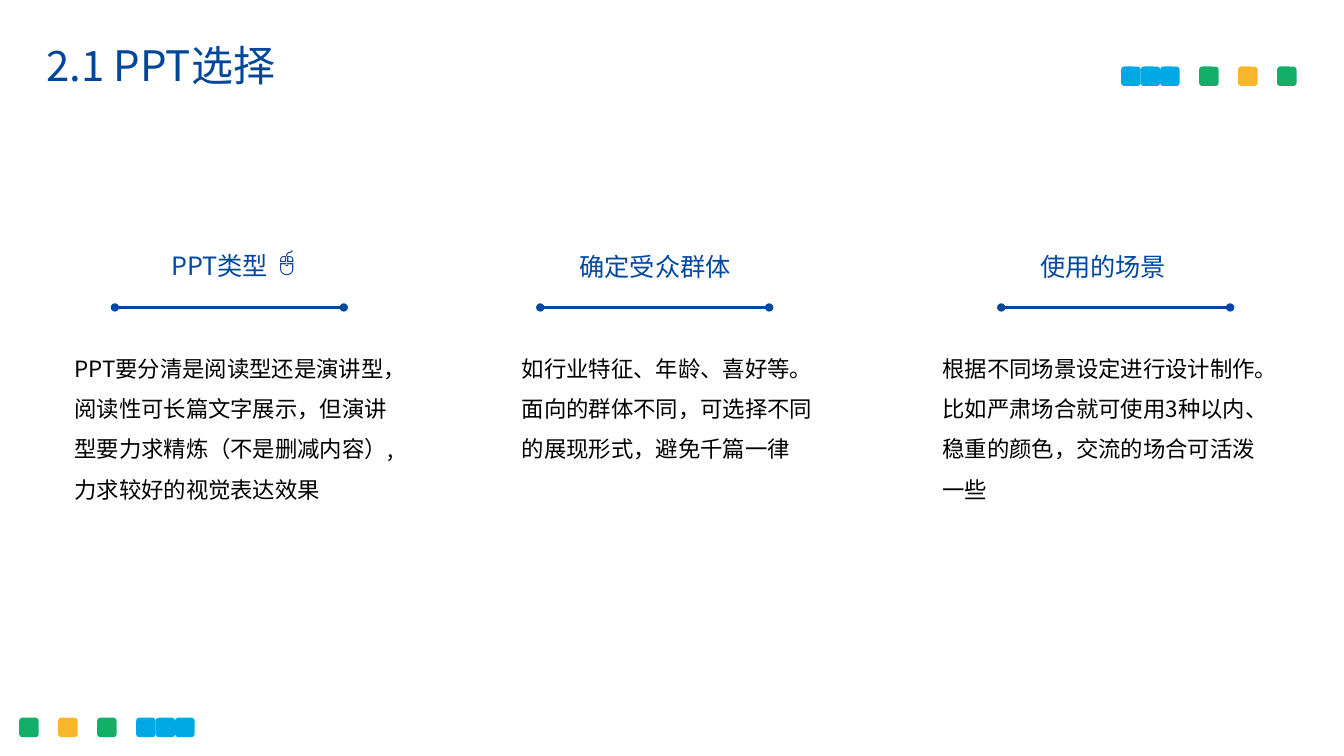
from math import cos, pi, sin

from lxml.etree import SubElement
from pptx import Presentation
from pptx.dml.color import RGBColor
from pptx.enum.shapes import MSO_CONNECTOR, MSO_SHAPE
from pptx.enum.text import MSO_ANCHOR, MSO_AUTO_SIZE
from pptx.oxml.ns import qn
from pptx.util import Inches, Pt

WIDE, HIGH = Inches(13.33), Inches(7.5)
FACE = "Noto Sans CJK SC"
NAVY = RGBColor(0x00, 0x47, 0x99)
BLUE = RGBColor(0x00, 0x47, 0x9D)
INK = RGBColor(0x16, 0x49, 0x98)
BLACK = RGBColor(0x00, 0x00, 0x00)
SKY = RGBColor(0x00, 0xA9, 0xE4)
GREEN = RGBColor(0x13, 0xAE, 0x67)
GOLD = RGBColor(0xF8, 0xB6, 0x2D)

TITLE = {"size": Pt(30), "color": NAVY, "gap": 0.9}
HEAD = {"size": Pt(18), "color": BLUE, "gap": 1.0}
BODY = {"size": Pt(16), "color": BLACK, "gap": 1.5}

# Slots of the square row, counted in square widths
SLOTS = {0: SKY, 1: SKY, 2: SKY, 4: GREEN, 6: GOLD, 8: GREEN}
SIDE = 1.45

# Rule left, heading (left, top, width), body (left, width), heading, body text
COLUMNS = [
    (8.55, (12, 32.4, 9.38), (4.8, 26.33), "PPT类型",
     ["PPT要分清是阅读型还是演讲型，阅读性可长篇文字展示，但演讲型要力求精炼（不是删减内容）,力求较好的视觉表达效果"]),
    (40.2, (42.38, 32.53, 13.58), (38.1, 23.7), "确定受众群体",
     ["如行业特征、年龄、喜好等。",
      "面向的群体不同，可选择不同的展现形式，避免千篇一律"]),
    (74.5, (76.65, 32.53, 13.58), (69.38, 25.13), "使用的场景",
     ["根据不同场景设定进行设计制作。",
      "比如严肃场合就可使用3种以内、稳重的颜色，交流的场合可活泼一些"]),
]


def across(share):
    """Length of a percentage of the slide width."""
    return round(WIDE * share / 100)


def down(share):
    """Length of a percentage of the slide height."""
    return round(HIGH * share / 100)


def paint(shape, color):
    shape.shadow.inherit = False
    shape.fill.solid()
    shape.fill.fore_color.rgb = color
    shape.line.fill.background()


def write(slide, left, top, width, height, lines, style, **frame):
    box = slide.shapes.add_textbox(
        across(left), down(top), across(width), down(height))
    text = box.text_frame
    for key, value in {"word_wrap": True, **frame}.items():
        setattr(text, key, value)
    for index, line in enumerate(lines):
        para = text.add_paragraph() if index else text.paragraphs[0]
        para.line_spacing = style["gap"]
        run = para.add_run()
        run.text = line
        for key, value in {"name": FACE, "size": style["size"]}.items():
            setattr(run.font, key, value)
        run.font.color.rgb = style["color"]
        SubElement(run.font._element, qn("a:ea"), typeface=FACE)


def squares(slide, left, top, slots):
    for slot, color in slots.items():
        tile = slide.shapes.add_shape(
            MSO_SHAPE.ROUNDED_RECTANGLE, across(left + slot * SIDE), down(top),
            across(SIDE), across(SIDE))
        paint(tile, color)


def rule(slide, left, top, width):
    """Draw a level line with a dot at each end."""
    line = slide.shapes.add_connector(
        MSO_CONNECTOR.STRAIGHT, across(left), down(top),
        across(left + width), down(top))
    line.line.color.rgb = BLUE
    line.line.width = Pt(1.75)
    pen = line.line._get_or_add_ln()
    for end in ("a:headEnd", "a:tailEnd"):
        SubElement(pen, qn(end), type="oval")
    SubElement(line._element.spPr, qn("a:effectLst"))


def bowl(wide, deep, turn):
    """Points of the lower half of an oval; turn 1 runs right to left."""
    steps = [pi * step / 12 for step in range(13)]
    return [(65 + turn * wide * cos(a), 190 + deep * sin(a)) for a in steps]


def mouse(slide, left, top):
    """Draw the mouse icon as one shape, in thousandths of an inch."""
    body = ([(0, 130), (58, 130), (62, 136), (58, 142), (10, 142)]
            + bowl(55, 50, -1)
            + [(120, 142), (72, 142), (68, 136), (72, 130), (130, 130)]
            + bowl(65, 60, 1))
    key = [(0, 120), (0, 90), (9, 69), (30, 60), (60, 60), (60, 120)]
    hole = [(11, 109), (11, 90), (17, 76), (30, 71), (49, 71), (49, 109)]
    wheel = [(57, 148), (73, 148), (77, 153), (73, 158), (57, 158), (53, 153)]
    cord = [(60, 60), (60, 48), (67, 30), (85, 20), (105, 16), (113, 7),
            (113, 0), (122, 0), (121, 14), (110, 26), (88, 31), (74, 39),
            (70, 52), (70, 60)]
    flip = [[(130 - x, y) for x, y in part] for part in (key, hole)]
    parts = [body, key, hole, *flip, wheel, cord]
    pen = slide.shapes.build_freeform(*body[0], scale=Inches(1) / 1000)
    for index, part in enumerate(parts):
        if index:
            pen.move_to(*part[0])
        pen.add_line_segments(part[1:], close=True)
    paint(pen.convert_to_shape(across(left), down(top)), INK)


def main():
    deck = Presentation()
    deck.slide_width, deck.slide_height = WIDE, HIGH
    slide = deck.slides.add_slide(deck.slide_layouts[6])

    squares(slide, 83.42, 8.8, SLOTS)
    squares(slide, 1.43, 94.93, {8 - k: c for k, c in SLOTS.items()})
    write(slide, 2.7, 5.07, 74.5, 7.73, ["2.1 PPT选择"], TITLE,
          vertical_anchor=MSO_ANCHOR.MIDDLE)

    grow = {"auto_size": MSO_AUTO_SIZE.SHAPE_TO_FIT_TEXT}
    for start, head, (left, width), name, lines in COLUMNS:
        rule(slide, start, 40.67, 17.03)
        write(slide, *head, 5.33, [name], HEAD, **grow)
        write(slide, left, 44.53, width, 22.27, lines, BODY, **grow)
    mouse(slide, 20.85, 33.07)

    deck.save("out.pptx")


if __name__ == "__main__":
    main()
